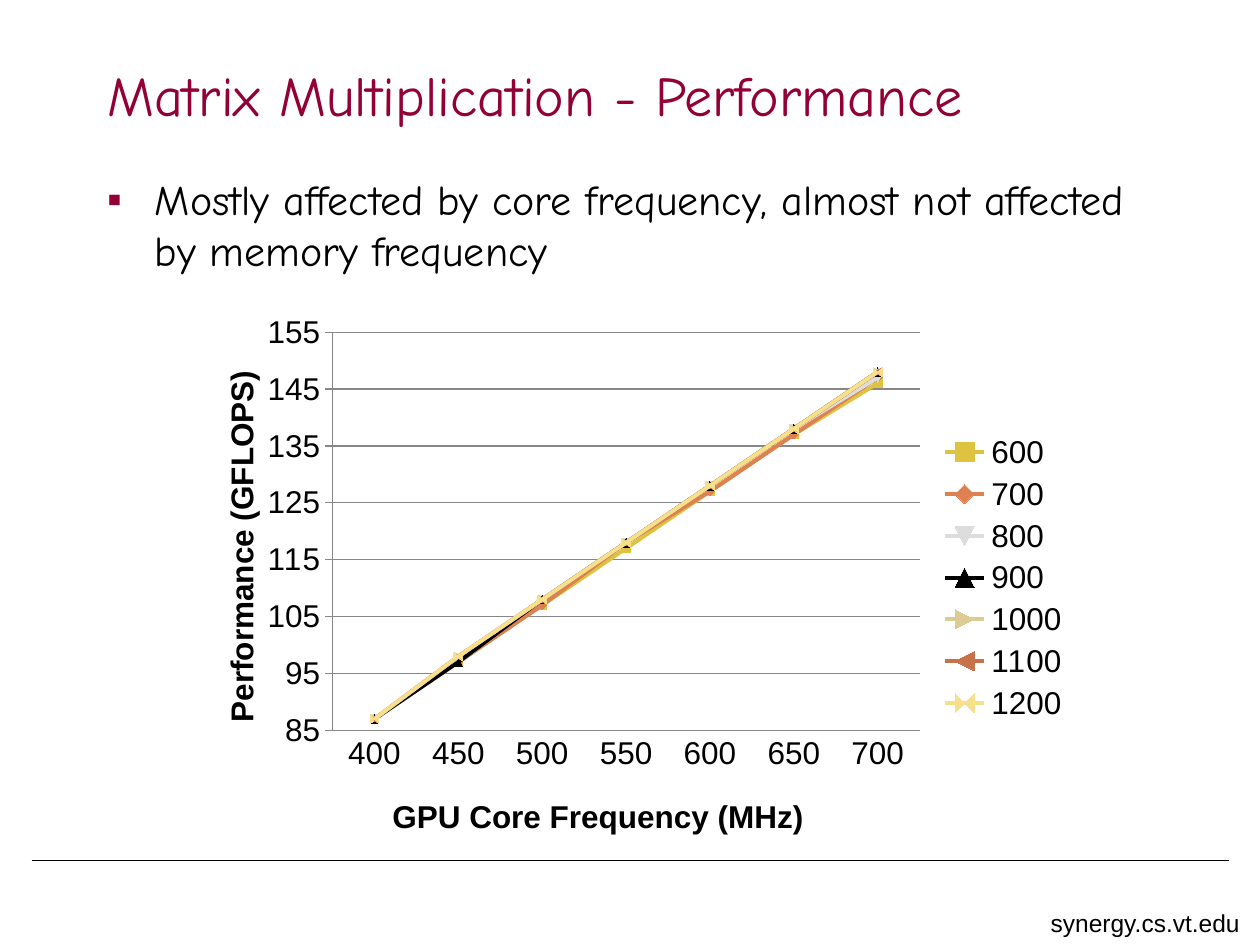
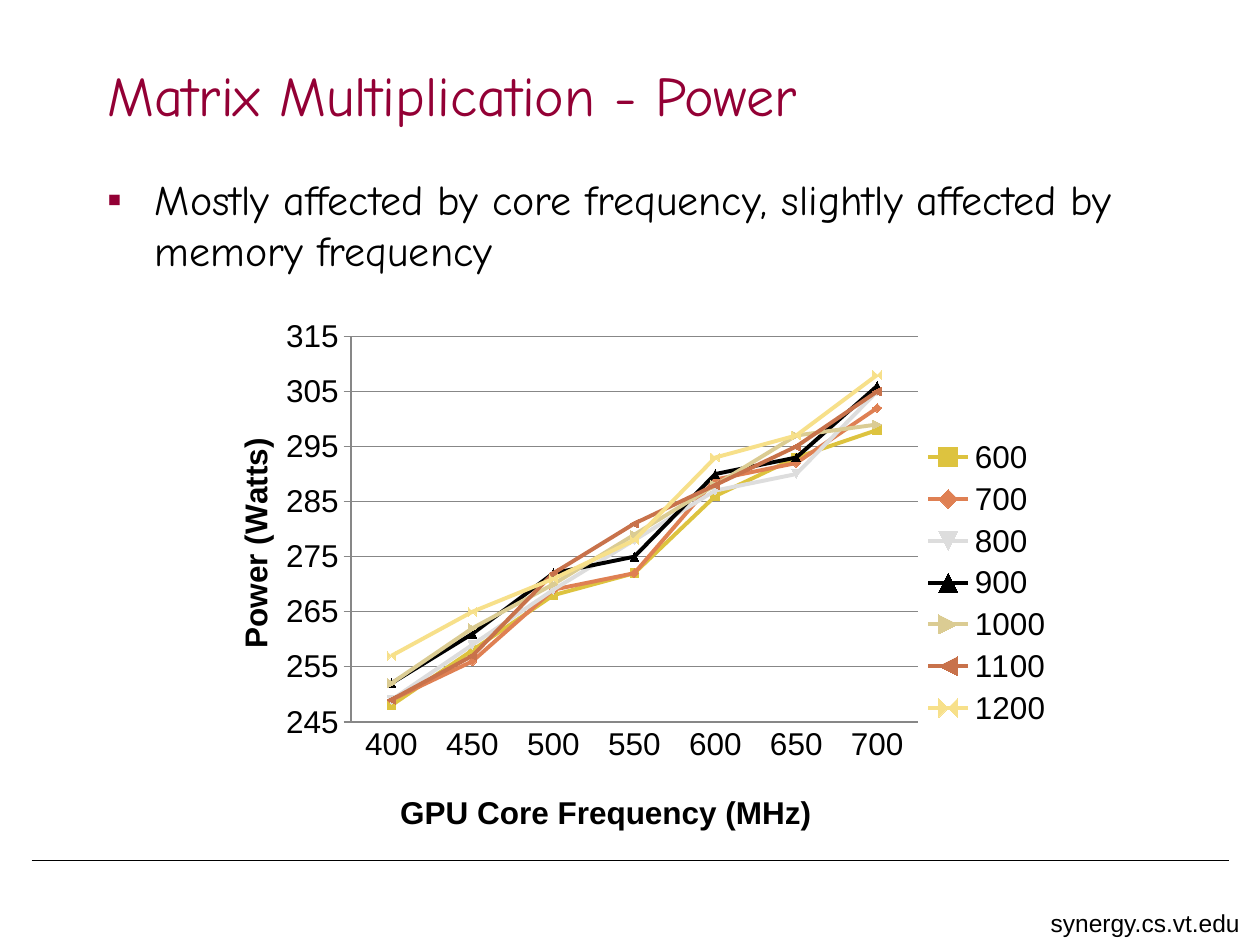
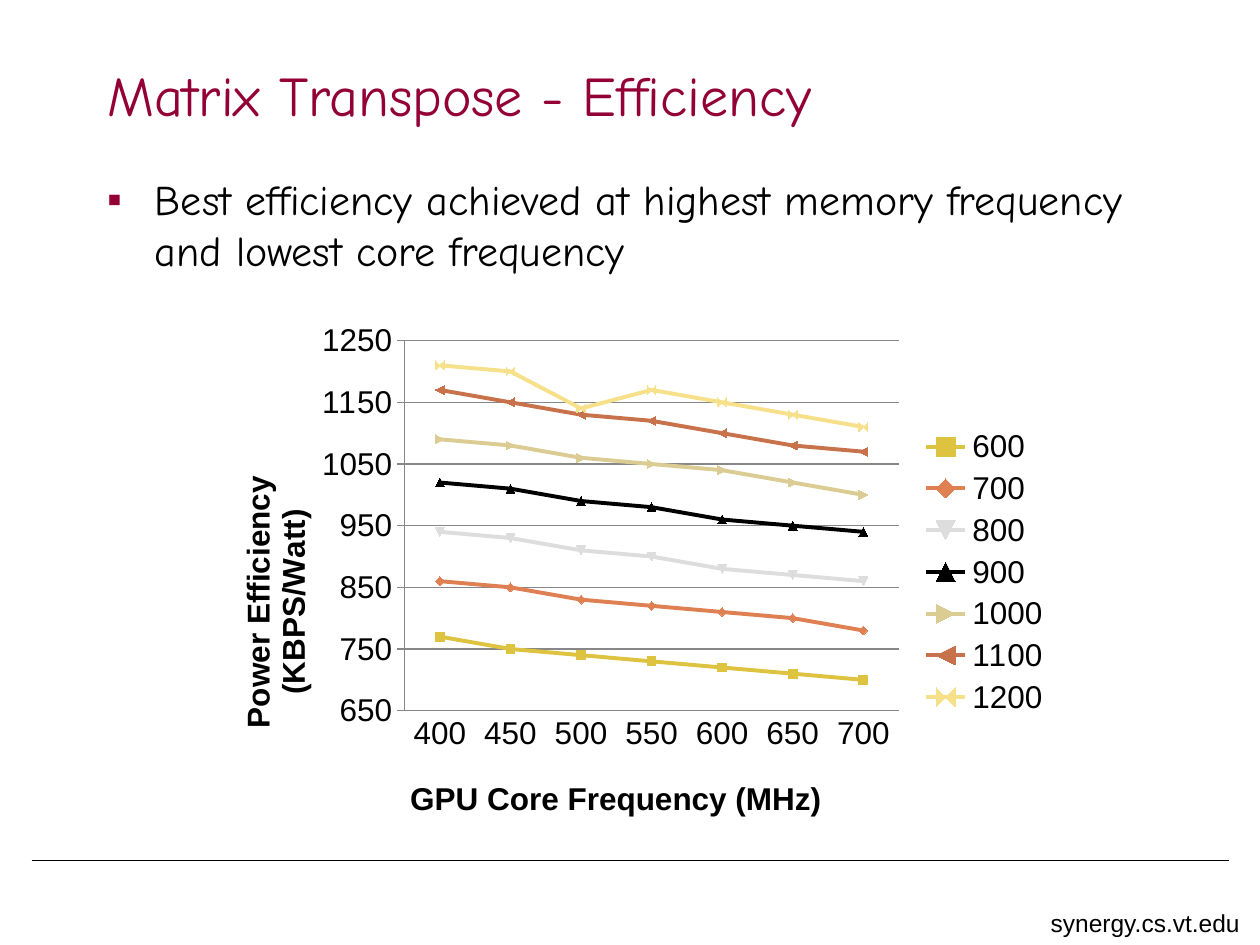
from lxml import etree
from pptx import Presentation
from pptx.chart.data import CategoryChartData
from pptx.dml.color import RGBColor
from pptx.enum.chart import XL_CHART_TYPE, XL_LEGEND_POSITION, XL_TICK_MARK
from pptx.enum.shapes import MSO_CONNECTOR
from pptx.enum.text import MSO_ANCHOR, MSO_AUTO_SIZE, PP_ALIGN
from pptx.oxml.ns import qn
from pptx.util import Inches, Pt

LINE_MARKERS = XL_CHART_TYPE.LINE_MARKERS
LEGEND_RIGHT = XL_LEGEND_POSITION.RIGHT
TICK_NONE = XL_TICK_MARK.NONE
TICK_CROSS = XL_TICK_MARK.CROSS
STRAIGHT = MSO_CONNECTOR.STRAIGHT
MIDDLE = MSO_ANCHOR.MIDDLE
TOP = MSO_ANCHOR.TOP
NO_AUTOFIT = MSO_AUTO_SIZE.NONE
LEFT = PP_ALIGN.LEFT

COLORS = {
    "maroon": "930035",
    "black": "000000",
    "grid": "878787",
    "600": "DDC33F",
    "700": "DF8053",
    "800": "DDDDDD",
    "900": "000000",
    "1000": "DBCC93",
    "1100": "C8724B",
    "1200": "F7E08A",
}
FORMATS = {
    "title": {"name": "Comic Neue", "size": Pt(32), "bold": False, "color": "maroon"},
    "body": {"name": "Comic Neue", "size": Pt(24), "bold": False, "color": "black"},
    "footer": {"name": "Arial", "size": Pt(14), "bold": False, "color": "black"},
    "chart": {"name": "Arial", "size": Pt(18), "bold": False, "color": "black"},
    "axis title": {"name": "Arial", "size": Pt(18), "bold": True, "color": "black"},
}
TITLE_BOX = (0.75, 0.33, 8.5, 0.83)
BODY_BOX = (0.75, 1.33, 8.5, 5)
FOOTER_BOX = (0.25, 6.83, 9.75, 0.67)
CORE_FREQUENCIES = range(400, 701, 50)
MEMORY_FREQUENCIES = range(600, 1201, 100)
CORE_AXIS_TITLE = "GPU Core Frequency (MHz)"

SLIDES = [
    {
        "title": "Matrix Multiplication - Performance",
        "bullet": "Mostly affected by core frequency, almost not affected by memory frequency",
        "box": (1.42, 2.42, 7.17, 4.33),
        "axis": ("Performance (GFLOPS)", 85, 155, 10),
        "plot": (0.17, 0.05, 0.65, 0.73),
        "core title": (0.23, 0.89),
        "value title": (0.04, 0.11),
        "values": [
            (87, 97, 107, 117, 127, 137, 146),
            (87, 97, 107, 118, 127, 137, 147),
            (87, 97, 108, 118, 128, 138, 147),
            (87, 97, 108, 118, 128, 138, 148),
            (87, 98, 108, 118, 128, 138, 148),
            (87, 98, 108, 118, 128, 138, 148),
            (87, 98, 108, 118, 128, 138, 148),
        ],
    },
    {
        "title": "Matrix Multiplication - Power",
        "bullet": "Mostly affected by core frequency, slightly affected by memory frequency",
        "box": (1.54, 2.5, 6.92, 4.25),
        "axis": ("Power (Watts)", 245, 315, 10),
        "plot": (0.18, 0.04, 0.65, 0.72),
        "core title": (0.23, 0.88),
        "value title": (0.04, 0.22),
        "values": [
            (248, 258, 268, 272, 286, 293, 298),
            (249, 256, 269, 272, 289, 292, 302),
            (249, 259, 269, 278, 287, 290, 305),
            (252, 261, 272, 275, 290, 293, 306),
            (252, 262, 270, 279, 288, 297, 299),
            (249, 257, 272, 281, 288, 295, 305),
            (257, 265, 271, 278, 293, 297, 308),
        ],
    },
    {
        "title": "Matrix Transpose - Efficiency",
        "bullet": "Best efficiency achieved at highest memory frequency and lowest core frequency",
        "box": (1.56, 2.5, 6.88, 4.08),
        "axis": ("Power Efficiency (KBPS/Watt)", 650, 1250, 100),
        "plot": (0.24, 0.05, 0.57, 0.72),
        "core title": (0.24, 0.89),
        "value title": (0.04, 0.19),
        "values": [
            (770, 750, 740, 730, 720, 710, 700),
            (860, 850, 830, 820, 810, 800, 780),
            (940, 930, 910, 900, 880, 870, 860),
            (1020, 1010, 990, 980, 960, 950, 940),
            (1090, 1080, 1060, 1050, 1040, 1020, 1000),
            (1170, 1150, 1130, 1120, 1100, 1080, 1070),
            (1210, 1200, 1140, 1170, 1150, 1130, 1110),
        ],
    },
]


def rgb(color):
    return RGBColor.from_string(COLORS[color])


def format_font(font, style):
    for attribute, value in FORMATS[style].items():
        if attribute == "color":
            font.color.rgb = rgb(value)
        else:
            setattr(font, attribute, value)


def format_line(line, color, width):
    line.color.rgb = rgb(color)
    line.width = Pt(width)


def fill_text(shape, text, style, anchor):
    frame = shape.text_frame
    frame.auto_size = NO_AUTOFIT
    frame.word_wrap = True
    frame.vertical_anchor = anchor
    paragraph = frame.paragraphs[0]
    paragraph.alignment = LEFT
    paragraph.space_before = Pt(0)
    run = paragraph.add_run()
    run.text = text
    format_font(run.font, style)
    return paragraph


def fill_placeholder(shape, box, text, style, anchor):
    shape.left, shape.top, shape.width, shape.height = map(Inches, box)
    return fill_text(shape, text, style, anchor)


def add_bullet(paragraph):
    properties = paragraph._p.get_or_add_pPr()
    properties.set("marL", str(Inches(0.38)))
    properties.set("indent", str(-Inches(0.38)))
    color = etree.SubElement(properties, qn("a:buClr"))
    etree.SubElement(color, qn("a:srgbClr"), val=COLORS["maroon"])
    etree.SubElement(properties, qn("a:buFont"), typeface="Arial")
    etree.SubElement(properties, qn("a:buChar"), char="▪")


def move_footer_to_master(slide, master, box):
    left, top, right, height = box
    rule = slide.shapes.add_connector(
        STRAIGHT, Inches(left), Inches(top), Inches(right), Inches(top))
    format_line(rule.line, "black", 0.25)
    etree.SubElement(rule._element.spPr, qn("a:effectLst"))
    address = slide.shapes.add_textbox(
        Inches(8.24), Inches(top + height - 0.34), Inches(1.76), Inches(0.34))
    fill_text(address, "synergy.cs.vt.edu", "footer", TOP)
    for shape in (rule, address):
        master.shapes.element.append(shape.element)


def place_chart_part(element, **settings):
    layout = element.find(qn("c:layout"))
    if layout is not None:
        element.remove(layout)
    layout = etree.Element(qn("c:layout"))
    manual = etree.SubElement(layout, qn("c:manualLayout"))
    for name, value in settings.items():
        etree.SubElement(manual, qn("c:" + name), val=str(value))
    text = element.find(qn("c:tx"))
    element.insert(0 if text is None else 1, layout)


def add_axis_title(axis, text, position):
    frame = axis.axis_title.text_frame
    frame.text = text
    format_font(frame.paragraphs[0].runs[0].font, "axis title")
    left, top = position
    place_chart_part(axis.axis_title._element, xMode="edge", yMode="edge", x=left, y=top)
    return frame


def format_axes(chart, content):
    core_axis, value_axis = chart.category_axis, chart.value_axis
    text, minimum, maximum, step = content["axis"]
    settings = {
        "minimum_scale": minimum,
        "maximum_scale": maximum,
        "major_unit": step,
        "has_major_gridlines": True,
    }
    for attribute, value in settings.items():
        setattr(value_axis, attribute, value)
    format_line(value_axis.major_gridlines.format.line, "grid", 0.75)
    for axis, tick in ((core_axis, TICK_NONE), (value_axis, TICK_CROSS)):
        axis.major_tick_mark = tick
        axis.minor_tick_mark = TICK_NONE
        format_line(axis.format.line, "grid", 0.75)
        format_font(axis.tick_labels.font, "chart")
    add_axis_title(core_axis, CORE_AXIS_TITLE, content["core title"])
    frame = add_axis_title(value_axis, text, content["value title"])
    body_properties = frame._txBody.find(qn("a:bodyPr"))
    body_properties.set("rot", "-5400000")
    body_properties.set("vert", "horz")


def add_frequency_chart(slide, content):
    data = CategoryChartData(number_format="0")
    data.categories = CORE_FREQUENCIES
    for frequency, values in zip(MEMORY_FREQUENCIES, content["values"]):
        data.add_series(str(frequency), values)
    box = map(Inches, content["box"])
    chart = slide.shapes.add_chart(LINE_MARKERS, *box, data).chart
    chart.has_title = False
    format_font(chart.font, "chart")
    chart.has_legend = True
    chart.legend.position = LEGEND_RIGHT
    chart.legend.include_in_layout = False
    format_font(chart.legend.font, "chart")
    chart.plots[0].vary_by_categories = False
    for series in chart.plots[0].series:
        series.smooth = False
        format_line(series.format.line, series.name, 2.25)
        series.marker.size = 5
        series.marker.format.fill.solid()
        series.marker.format.fill.fore_color.rgb = rgb(series.name)
        series.marker.format.line.fill.background()
    format_axes(chart, content)
    left, top, width, height = content["plot"]
    plot_area = chart._chartSpace.find(".//" + qn("c:plotArea"))
    place_chart_part(plot_area, layoutTarget="inner", xMode="edge", yMode="edge",
                     x=left, y=top, w=width, h=height)


def add_chart_slide(presentation, content):
    slide = presentation.slides.add_slide(presentation.slide_layouts[1])
    title, body = slide.placeholders
    fill_placeholder(title, TITLE_BOX, content["title"], "title", MIDDLE)
    paragraph = fill_placeholder(body, BODY_BOX, content["bullet"], "body", TOP)
    add_bullet(paragraph)
    add_frequency_chart(slide, content)
    return slide


def main():
    presentation = Presentation()
    presentation.slide_width = Inches(10)
    presentation.slide_height = Inches(7.5)
    slides = [add_chart_slide(presentation, content) for content in SLIDES]
    move_footer_to_master(slides[0], presentation.slide_master, FOOTER_BOX)
    presentation.save("out.pptx")


if __name__ == "__main__":
    main()
